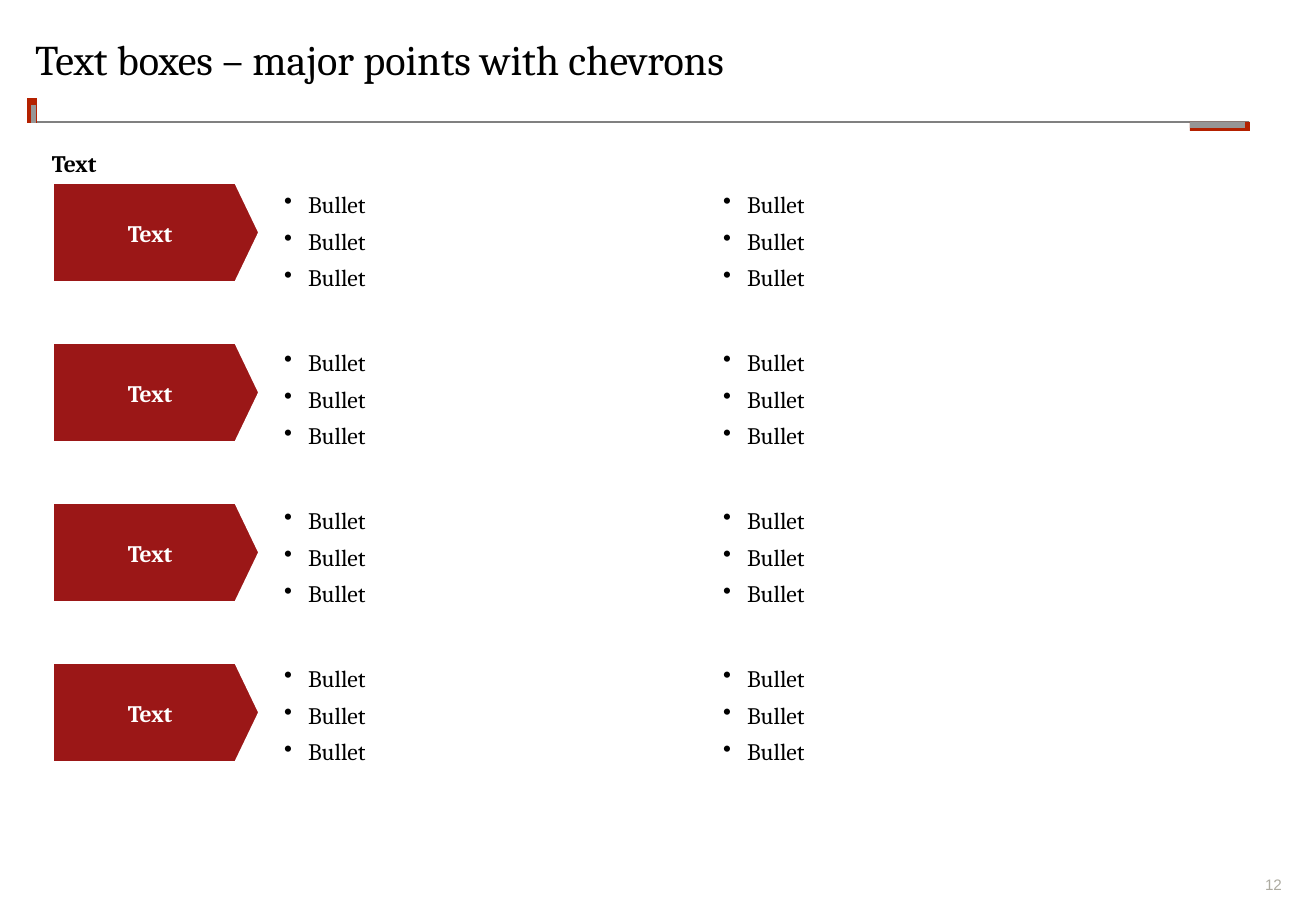
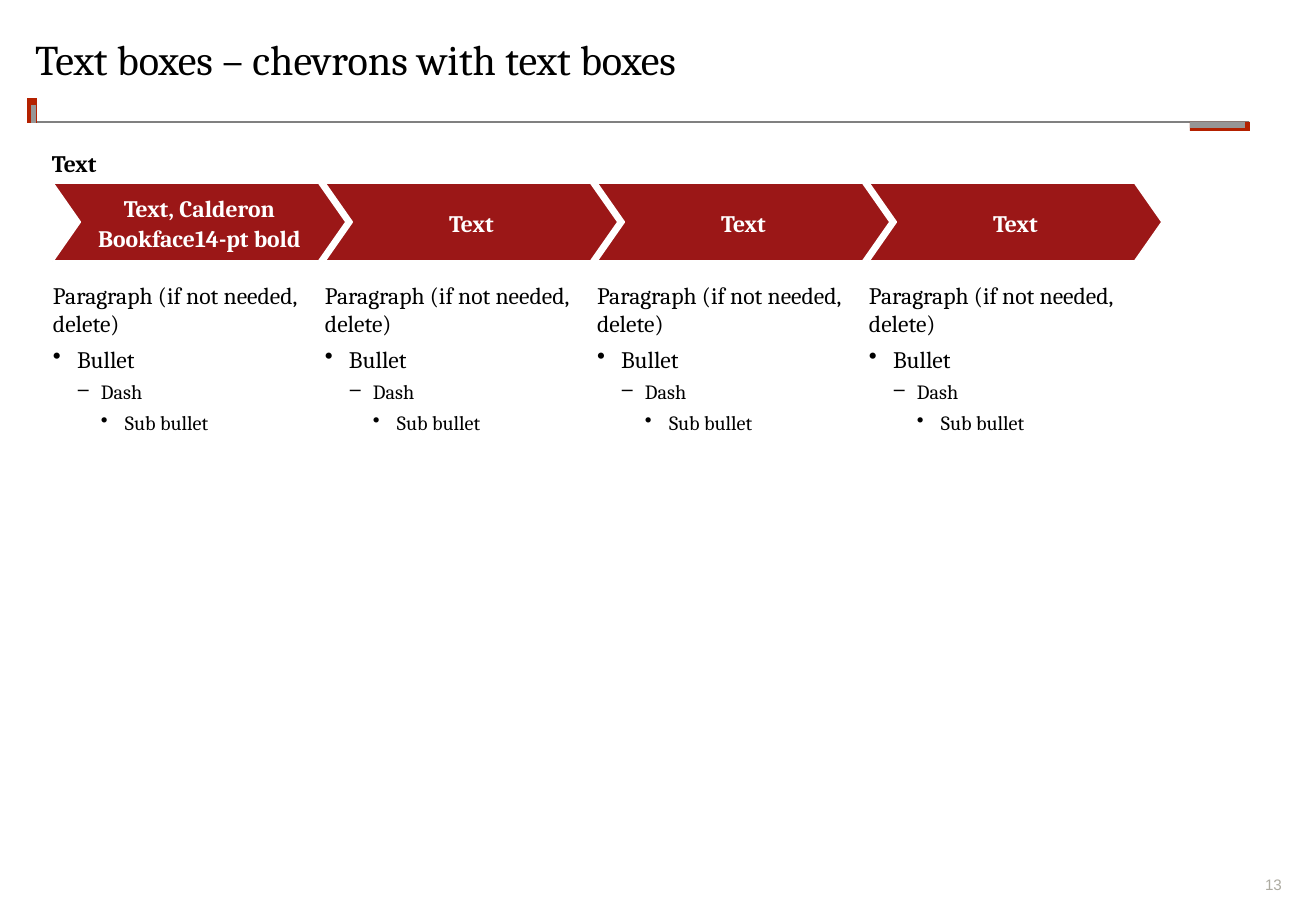
from lxml.etree import SubElement
from pptx import Presentation
from pptx.dml.color import RGBColor
from pptx.enum.shapes import MSO_CONNECTOR, MSO_SHAPE
from pptx.enum.text import MSO_ANCHOR, MSO_AUTO_SIZE, PP_ALIGN
from pptx.oxml.ns import qn
from pptx.util import Pt

SCALE = 7526
HUES = {
    "ink": "000000",
    "white": "FFFFFF",
    "deep": "9B1717",
    "red": "B42100",
    "gray": "969696",
    "rule": "808080",
    "pale": "ADABA1",
}
LEFT, TOP = 53, 183
STEP = 24
MARKS = {1: "•", 2: "‒", 3: "•"}


def px(*sizes):
    return [size * SCALE for size in sizes]


def hue(name):
    return RGBColor.from_string(HUES[name])


class Deck:
    def __init__(self):
        self.file = Presentation()
        self.file.slide_width, self.file.slide_height = px(1316, 911)
        self.slide = None

    def page(self, title, number):
        self.slide = self.file.slides.add_slide(self.file.slide_layouts[5])
        self.line(36, 122, 1249, 122, "rule", 1)
        self.line(32, 123, 32, 98, "red", 6)
        self.line(34, 123, 34, 105, "gray", 3)
        self.shape(MSO_SHAPE.RECTANGLE, 1190, 122, 60, 9, "red")
        self.shape(MSO_SHAPE.RECTANGLE, 1190, 122, 55, 6, "gray")
        head = self.slide.shapes.title
        head.left, head.top, head.width, head.height = px(35, 39, 1245, 81)
        self.fill(head.text_frame, [(0, title, 25)], space=0.9)
        self.text(1244, 876, 38, 18, [(0, number, 9)], face="Arial", color="pale",
                  align=PP_ALIGN.RIGHT, anchor=MSO_ANCHOR.BOTTOM)
        self.text(LEFT - 1, 149, 60, 29, [(0, "Text", 14)], bold=True)

    def fill(self, frame, items, face="Cambria", color="ink", bold=False,
             align=PP_ALIGN.LEFT, anchor=MSO_ANCHOR.TOP, space=1.0, inset=0):
        frame.word_wrap = True
        frame.auto_size = MSO_AUTO_SIZE.NONE
        frame.vertical_anchor = anchor
        frame.margin_left, frame.margin_top, frame.margin_right, frame.margin_bottom = px(*[inset] * 4)
        for i, (level, words, size) in enumerate(items):
            para = frame.add_paragraph() if i else frame.paragraphs[0]
            para.text = words
            para.level = level
            if level:
                self.mark(para, level)
            para.alignment = align
            para.line_spacing = space
            para.space_before = Pt(4 if i else 0)
            font = para.font
            font.name, font.size, font.bold = face, Pt(size), bold
            font.color.rgb = hue(color)

    def mark(self, para, level):
        props = para._p.get_or_add_pPr()
        props.set("marL", str(level * STEP * SCALE))
        props.set("indent", str(-STEP * SCALE))
        SubElement(props, qn("a:buChar")).set("char", MARKS[level])

    def text(self, x, y, w, h, items, **style):
        box = self.slide.shapes.add_textbox(*px(x, y, w, h))
        self.fill(box.text_frame, items, **style)

    def line(self, x, y, right, low, color, width):
        rule = self.slide.shapes.add_connector(MSO_CONNECTOR.STRAIGHT, *px(x, y, right, low))
        rule.line.color.rgb = hue(color)
        rule.line.width = Pt(width)
        SubElement(rule._element.spPr, qn("a:effectLst"))

    def shape(self, kind, x, y, w, h, color):
        item = self.slide.shapes.add_shape(kind, *px(x, y, w, h))
        item.shadow.inherit = False
        item.fill.solid()
        item.fill.fore_color.rgb = hue(color)
        item.line.fill.background()
        return item

    def arrow(self, kind, x, y, w, h, bend, words):
        item = self.shape(kind, x, y, w, h, "deep")
        item.adjustments[0] = bend
        item.line.color.rgb = hue("white")
        item.line.width = Pt(1)
        self.fill(item.text_frame, [(0, words, 14)], color="white", bold=True,
                  align=PP_ALIGN.CENTER, anchor=MSO_ANCHOR.MIDDLE, space=1.06, inset=5)


def points(deck):
    deck.page("Text boxes – major points with chevrons", "12")
    for row in range(4):
        deck.arrow(MSO_SHAPE.PENTAGON, LEFT, TOP + 160 * row, 206, 99, 0.24, "Text")
        for x, w in ((279, 352), (718, 445)):
            deck.text(x, TOP + 158 * row, w, 114, [(1, "Bullet", 14)] * 3, space=1.06, inset=5)


def steps(deck):
    deck.page("Text boxes – chevrons with text boxes", "13")
    body = [
        (0, "Paragraph (if not needed, delete)", 14),
        (1, "Bullet", 14),
        (2, "Dash", 12),
        (3, "Sub bullet", 12),
    ]
    for col, words in enumerate(["Text, Calderon Bookface14-pt bold"] + ["Text"] * 3):
        x = LEFT + 272 * col
        deck.arrow(MSO_SHAPE.CHEVRON, x, TOP, 293, 78, 0.35, words)
        deck.text(x, 281, 260, 156, body)


def main():
    deck = Deck()
    points(deck)
    steps(deck)
    deck.file.save("out.pptx")


if __name__ == "__main__":
    main()
